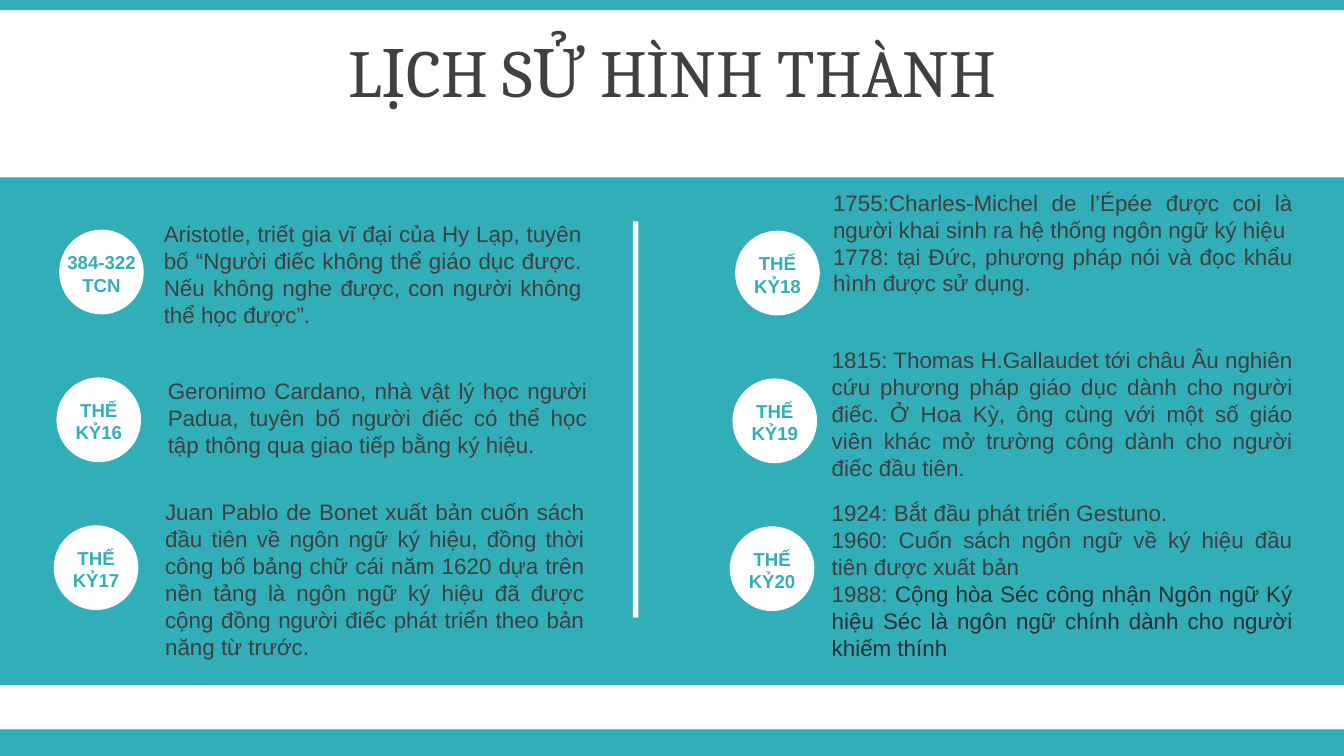
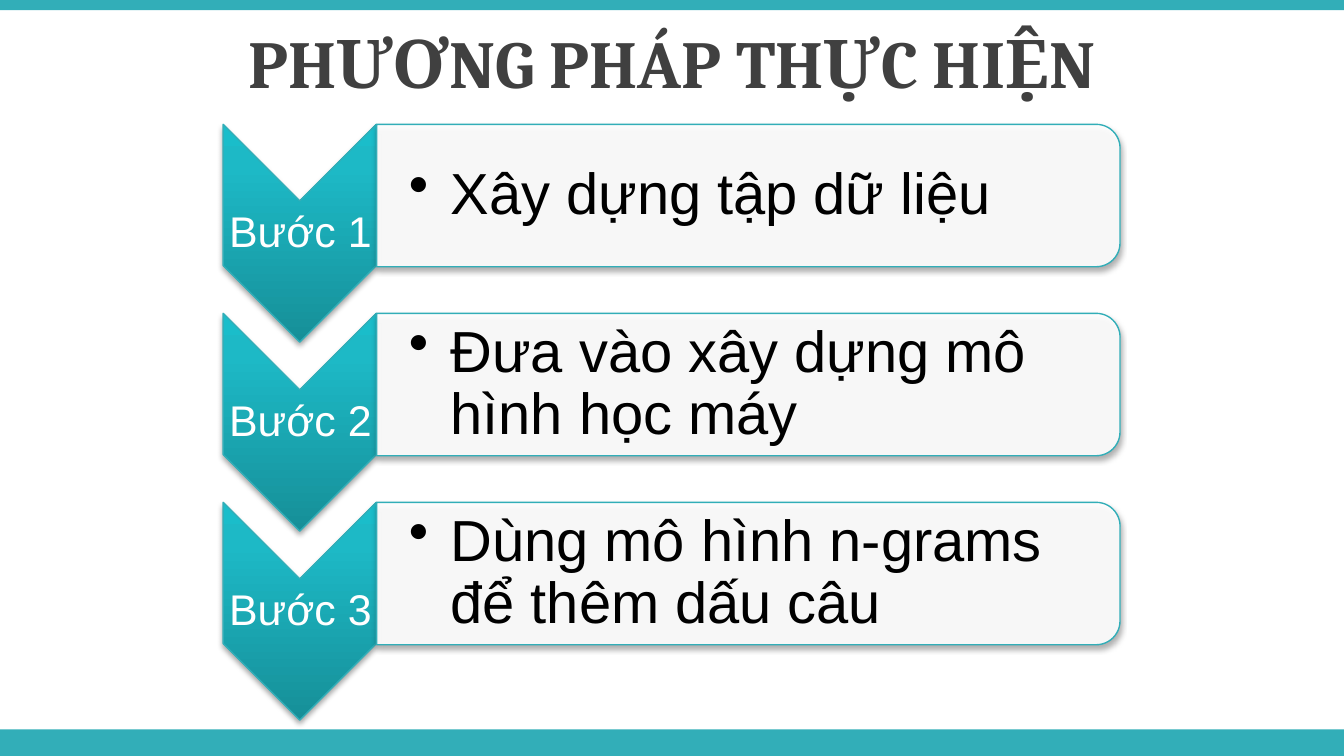
from dataclasses import dataclass

from lxml.etree import SubElement
from pptx import Presentation
from pptx.dml.color import RGBColor
from pptx.enum.shapes import MSO_SHAPE
from pptx.enum.text import MSO_ANCHOR, MSO_AUTO_SIZE, PP_ALIGN
from pptx.oxml import parse_xml
from pptx.oxml.ns import nsdecls, qn
from pptx.util import Inches, Pt


@dataclass(frozen=True)
class Theme:
    teal: str = "32AEB8"
    white: str = "FFFFFF"
    black: str = "000000"
    body: str = "404040"
    accent_text: str = "2C2F34"
    arrow_stops: tuple = ((0, "168F98"), (80, "1DB9C6"), (100, "1ABDCA"))
    heading_font: str = "Cambria"
    body_font: str = "Arial"
    heading_size: int = 36
    narrative_size: int = 12
    period_size: int = 10
    step_size: int = 23
    task_size: int = 31


@dataclass(frozen=True)
class Box:
    left: float
    top: float
    width: float
    height: float

    def area(self, x, y, width, height):
        return Box(
            self.left + self.width * x / 100,
            self.top + self.height * y / 100,
            self.width * width / 100,
            self.height * height / 100,
        )

    def turned(self):
        shift = (self.width - self.height) / 2
        return Box(self.left + shift, self.top - shift, self.height, self.width)

    def lengths(self):
        return [Inches(n) for n in (self.left, self.top, self.width, self.height)]


THEME = Theme()
SLIDE = Box(0, 0, 10, 5.625)

LEFT_PERIODS = [
    ("384-322 TCN", (22.4, 7.15, 66.2, 24.1), [
        ("Aristotle, triết gia vĩ đại của Hy Lạp, tuyên bố “Người điếc không thể "
         "giáo dục được. Nếu không nghe được, con người không thể học được”.",),
    ]),
    ("THẾ KỶ16", (23, 38.1, 66.4, 18.8), [
        ("Geronimo Cardano, nhà vật lý học người Padua, tuyên bố người điếc có thể "
         "học tập thông qua giao tiếp bằng ký hiệu.",),
    ]),
    ("THẾ KỶ17", (22.6, 61.9, 66.4, 34.7), [
        ("Juan Pablo de Bonet xuất bản cuốn sách đầu tiên về ngôn ngữ ký hiệu, đồng "
         "thời công bố bảng chữ cái năm 1620 dựa trên nền tảng là ngôn ngữ ký hiệu đã "
         "được cộng đồng người điếc phát triển theo bản năng từ trước.",),
    ]),
]
RIGHT_PERIODS = [
    ("THẾ KỶ18", (21.4, 0.8, 72.4, 29.4), [
        ("1755:Charles-Michel de l’Épée được coi là người khai sinh ra hệ thống "
         "ngôn ngữ ký hiệu",),
        ("1778: tại Đức, phương pháp nói và đọc khẩu hình được sử dụng.",),
    ]),
    ("THẾ KỶ19", (21.2, 31.75, 72.6, 29.4), [
        ("1815: Thomas H.Gallaudet tới châu Âu nghiên cứu phương pháp giáo dục dành "
         "cho người điếc. Ở Hoa Kỳ, ông cùng với một số giáo viên khác mở trường công "
         "dành cho người điếc đầu tiên.",),
    ]),
    ("THẾ KỶ20", (21.2, 61.9, 72.6, 34.7), [
        ("1924: Bắt đầu phát triển Gestuno.",),
        ("1960: Cuốn sách ngôn ngữ về ký hiệu đầu tiên được xuất bản",),
        ("1988: ", "Cộng hòa Séc công nhận Ngôn ngữ Ký hiệu Séc là ngôn ngữ chính "
         "dành cho người khiếm thính"),
    ]),
]
TASKS = [
    "Xây dựng tập dữ liệu",
    "Đưa vào xây dựng mô hình học máy",
    "Dùng mô hình n-grams để thêm dấu câu",
]


def add_figure(page, kind, box, color=None):
    figure = page.shapes.add_shape(kind, *box.lengths())
    figure.shadow.inherit = False
    figure.line.fill.background()
    if color:
        figure.fill.solid()
        figure.fill.fore_color.rgb = RGBColor.from_string(color)
    return figure


def style_span(span, size, color, font=THEME.body_font, bold=False):
    span.font.name = font
    span.font.size = Pt(size)
    span.font.bold = bold
    span.font.color.rgb = RGBColor.from_string(color)


def add_text(page, box, text, size, color, align, font=THEME.body_font, bold=False,
             insets=None, grow=False):
    frame = page.shapes.add_textbox(*box.lengths()).text_frame
    frame.text = text
    frame.word_wrap = True
    frame.auto_size = MSO_AUTO_SIZE.SHAPE_TO_FIT_TEXT if grow else MSO_AUTO_SIZE.NONE
    frame.vertical_anchor = MSO_ANCHOR.TOP if grow else MSO_ANCHOR.MIDDLE
    if insets:
        (frame.margin_left, frame.margin_top,
         frame.margin_right, frame.margin_bottom) = map(Inches, insets)
    for para in frame.paragraphs:
        para.alignment = align
        for span in para.runs:
            style_span(span, size, color, font, bold)
    return frame


def add_page(deck, title, title_box, bold):
    page = deck.slides.add_slide(deck.slide_layouts[6])
    page.background.fill.solid()
    page.background.fill.fore_color.rgb = RGBColor.from_string(THEME.white)
    for strip in (SLIDE.area(0, 96.5, 100, 3.5), SLIDE.area(0, 0, 100, 1.35)):
        add_figure(page, MSO_SHAPE.RECTANGLE, strip, THEME.teal)
    frame = add_text(page, title_box, title, THEME.heading_size, THEME.body,
                     PP_ALIGN.CENTER, THEME.heading_font, bold)
    frame.paragraphs[0].space_before = Pt(THEME.heading_size * 0.2)
    return page


def add_period(page, column, row, period):
    label, narrative_share, paragraphs = period
    circle = column.area(8.8 - 0.4 * row, 10.3 + 29.1 * row, 12.6, 16.7)
    add_figure(page, MSO_SHAPE.OVAL, circle, THEME.white)
    add_text(page, circle.area(-12, 17.5, 124, 71), label, THEME.period_size,
             THEME.teal, PP_ALIGN.CENTER, bold=True, grow=True)
    frame = add_text(page, column.area(*narrative_share),
                     "\n".join(spans[0] for spans in paragraphs),
                     THEME.narrative_size, THEME.body, PP_ALIGN.JUSTIFY, grow=True)
    for para, spans in zip(frame.paragraphs, paragraphs):
        for extra in spans[1:]:
            span = para.add_run()
            span.text = extra
            style_span(span, THEME.narrative_size, THEME.accent_text)


def build_history(deck):
    page = add_page(deck, "LỊCH SỬ HÌNH THÀNH", SLIDE.area(0.4, 3.75, 99.2, 11.2), False)
    band = SLIDE.area(0, 23.45, 100, 67.2)
    add_figure(page, MSO_SHAPE.RECTANGLE, band, THEME.teal)
    add_figure(page, MSO_SHAPE.RECTANGLE, band.area(47.1, 8.7, 0.4, 78), THEME.white)
    columns = (band.area(0, 0, 50, 100), band.area(50.3, 0.2, 50, 100))
    for column, periods in zip(columns, (LEFT_PERIODS, RIGHT_PERIODS)):
        for row, period in enumerate(periods):
            add_period(page, column, row, period)


def add_raised_figure(page, kind, box, color=None):
    figure = add_figure(page, kind, box.turned(), color)
    figure.rotation = 90
    figure.line.color.rgb = RGBColor.from_string(THEME.teal)
    figure.line.width = Pt(0.75)
    effects = figure.element.spPr.find(qn("a:effectLst"))
    effects.append(parse_xml(
        f'<a:outerShdw {nsdecls("a")} blurRad="{Pt(3.1)}" dist="{Pt(1.8)}" '
        f'dir="5400000" rotWithShape="0"><a:srgbClr val="{THEME.black}">'
        '<a:alpha val="35000"/></a:srgbClr></a:outerShdw>'))
    return figure


def add_step(page, box, number, task):
    arrow = add_raised_figure(page, MSO_SHAPE.CHEVRON, box.area(0, 0, 17.07, 100))
    stops = "".join(f'<a:gs pos="{place * 1000}"><a:srgbClr val="{color}"/></a:gs>'
                    for place, color in THEME.arrow_stops)
    properties = arrow.element.spPr
    properties.find(qn("a:prstGeom")).addnext(parse_xml(
        f'<a:gradFill {nsdecls("a")} rotWithShape="0"><a:gsLst>{stops}</a:gsLst>'
        '<a:lin ang="16200000" scaled="0"/></a:gradFill>'))
    frame = add_text(page, box.area(0.1, 34.9, 17.07, 30.2), f"Bước {number}",
                     THEME.step_size, THEME.white, PP_ALIGN.CENTER, insets=[0.02] * 4)
    frame.paragraphs[0].line_spacing = 0.9
    frame.paragraphs[0].space_after = Pt(THEME.step_size * 0.35)

    panel = add_raised_figure(page, MSO_SHAPE.ROUND_2_SAME_RECTANGLE,
                              box.area(17.1, 0, 82.8, 65.4), THEME.white)
    panel_color = panel.element.spPr.find(qn("a:solidFill"))[0]
    SubElement(panel_color, qn("a:alpha"), val="90000")
    frame = add_text(page, box.area(17.1, 3.4, 82, 58.6), task, THEME.task_size,
                     THEME.black, PP_ALIGN.LEFT, insets=(0.24, 0.02, 0.02, 0.02))
    para = frame.paragraphs[0]
    para.level = 1
    para.line_spacing = 0.9
    para.space_after = Pt(THEME.task_size * 0.15)
    settings = para._p.get_or_add_pPr()
    settings.set("marL", str(Inches(0.31)))
    settings.set("indent", str(Inches(-0.31)))
    SubElement(settings, qn("a:buChar"), char="•")


def build_method(deck):
    page = add_page(deck, "PHƯƠNG PHÁP THỰC HIỆN", SLIDE.area(0, 2.5, 100, 11.2), True)
    for row, task in enumerate(TASKS):
        add_step(page, SLIDE.area(16.6, 16.45 + 25 * row, 66.8, 28.8), row + 1, task)


def main():
    deck = Presentation()
    deck.slide_width = Inches(SLIDE.width)
    deck.slide_height = Inches(SLIDE.height)
    build_history(deck)
    build_method(deck)
    deck.save("out.pptx")


if __name__ == "__main__":
    main()
